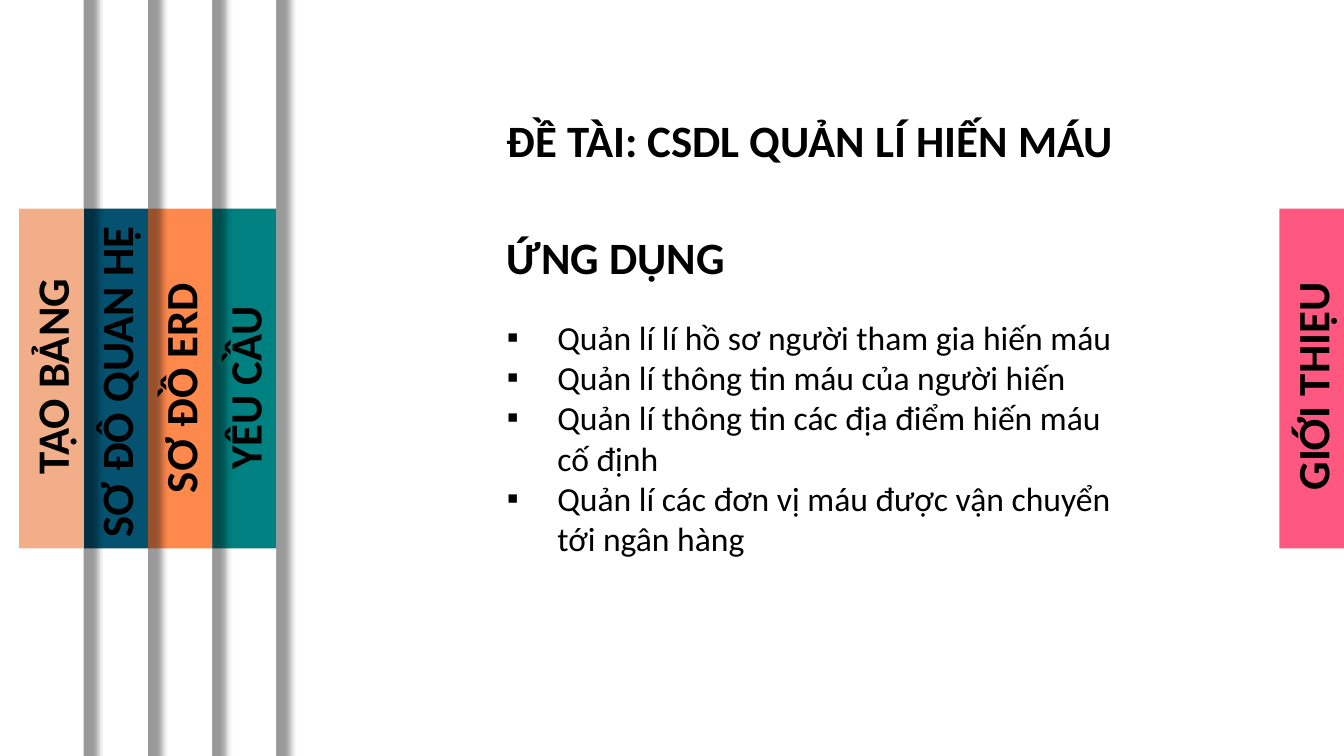
from lxml import etree
from pptx import Presentation
from pptx.dml.color import RGBColor
from pptx.enum.shapes import MSO_SHAPE
from pptx.enum.text import MSO_AUTO_SIZE
from pptx.oxml.ns import qn
from pptx.util import Inches, Pt

RECTANGLE = MSO_SHAPE.RECTANGLE
FIT_SHAPE = MSO_AUTO_SIZE.SHAPE_TO_FIT_TEXT
FONT = "Calibri"
COLORS = {
    "white": "FFFFFF", "black": "000000", "pink": "FF5880", "teal": "008080",
    "orange": "FF884C", "navy": "045170", "peach": "F1AE89",
}
SLIDE_WIDTH, SLIDE_HEIGHT = 13.33, 7.5
TAB_WIDTH, TAB_HEIGHT, TAB_TOP = 0.64, 3.37, 2.07
FIRST_TAB_LEFT, LAST_TAB_LEFT = 0.19, 2.1
LINE_HEIGHT = 0.64

# Left-hand tabs from left to right: label, colour, label length, label centre
LEFT_TABS = [
    ("TẠO BẢNG", "peach", 2.23, 3.69),
    ("SƠ ĐÔ QUAN HỆ", "navy", 3.6, 3.63),
    ("SƠ ĐỒ ERD", "orange", 2.42, 3.78),
    ("YÊU CẦU", "teal", 2.42, 3.55),
]
CURRENT_TAB = ("GIỚI THIỆU", "pink", 2.42, 3.75)
USES = [
    "Quản lí lí hồ sơ người tham gia hiến máu",
    "Quản lí thông tin máu của người hiến",
    "Quản lí thông tin các địa điểm hiến máu cố định",
    "Quản lí các đơn vị máu được vận chuyển tới ngân hàng",
]


def add_rectangle(slide, left, top, width, height, color):
    """Add a plain filled rectangle without outline or shadow."""
    shape = slide.shapes.add_shape(
        RECTANGLE, Inches(left), Inches(top), Inches(width), Inches(height))
    shape.shadow.inherit = False
    shape.fill.solid()
    shape.fill.fore_color.rgb = RGBColor.from_string(COLORS[color])
    shape.line.fill.background()
    return shape


def add_soft_shadow(shape):
    """Give the shape a centred, slightly enlarged, blurred black shadow."""
    effects = shape._element.spPr.find(qn("a:effectLst"))
    shadow = etree.SubElement(
        effects, qn("a:outerShdw"), blurRad=str(Pt(5)), dist="0", dir="0",
        sx="102000", sy="102000", algn="ctr", rotWithShape="0")
    color = etree.SubElement(shadow, qn("a:srgbClr"), val=COLORS["black"])
    etree.SubElement(color, qn("a:alpha"), val="40000")


def add_text(slide, left, top, width, height, lines, size, bold=False):
    """Add a wrapping text box with one paragraph per line."""
    box = slide.shapes.add_textbox(
        Inches(left), Inches(top), Inches(width), Inches(height))
    frame = box.text_frame
    frame.word_wrap = True
    frame.auto_size = FIT_SHAPE
    frame.text = "\n".join(lines)
    for paragraph in frame.paragraphs:
        paragraph.font.name = FONT
        paragraph.font.size = Pt(size)
        paragraph.font.bold = bold
        paragraph.font.color.rgb = RGBColor.from_string(COLORS["black"])
    return box


def add_bullets(box):
    """Put a square bullet with a hanging indent on every paragraph."""
    for paragraph in box.text_frame.paragraphs:
        properties = paragraph._p.get_or_add_pPr()
        properties.set("marL", str(Inches(0.5)))
        properties.set("indent", str(Inches(-0.5)))
        etree.SubElement(properties, qn("a:buFont"), typeface="Arial")
        etree.SubElement(properties, qn("a:buChar"), char="▪")


def add_sheet(slide, tab_left, tab):
    """Add a white sheet as wide as the slide, with a tab at its right edge."""
    sheet_left = tab_left + TAB_WIDTH - SLIDE_WIDTH
    sheet = add_rectangle(
        slide, sheet_left, 0, SLIDE_WIDTH, SLIDE_HEIGHT, "white")
    add_soft_shadow(sheet)
    label, color, length, center = tab
    add_rectangle(slide, tab_left, TAB_TOP, TAB_WIDTH, TAB_HEIGHT, color)
    box = add_text(slide, tab_left + (TAB_WIDTH - length) / 2,
                   center - LINE_HEIGHT / 2, length, LINE_HEIGHT,
                   [label], 32, bold=True)
    box.rotation = 270


def add_left_sheets(slide, first_left, last_left):
    """Stack the sheets evenly, the leftmost on top."""
    step = (last_left - first_left) / (len(LEFT_TABS) - 1)
    for index, tab in reversed(list(enumerate(LEFT_TABS))):
        add_sheet(slide, first_left + index * step, tab)


def add_content(slide, left, top, width):
    """Add the topic, the heading and the list of uses."""
    add_text(slide, left, top, width, LINE_HEIGHT,
             ["ĐỀ TÀI: CSDL QUẢN LÍ HIẾN MÁU"], 32, bold=True)
    add_text(slide, left, top + 1.16, width, LINE_HEIGHT,
             ["ỨNG DỤNG"], 32, bold=True)
    add_bullets(add_text(slide, left, top + 2.02, width, 2.52, USES, 24))


def main():
    """Build the slide and save it."""
    presentation = Presentation()
    presentation.slide_width = Inches(SLIDE_WIDTH)
    presentation.slide_height = Inches(SLIDE_HEIGHT)
    slide = presentation.slides.add_slide(presentation.slide_layouts[6])
    add_sheet(slide, SLIDE_WIDTH - TAB_WIDTH, CURRENT_TAB)
    add_left_sheets(slide, FIRST_TAB_LEFT, LAST_TAB_LEFT)
    add_content(slide, 4.93, 1.07, 6.38)
    presentation.save("out.pptx")


main()
